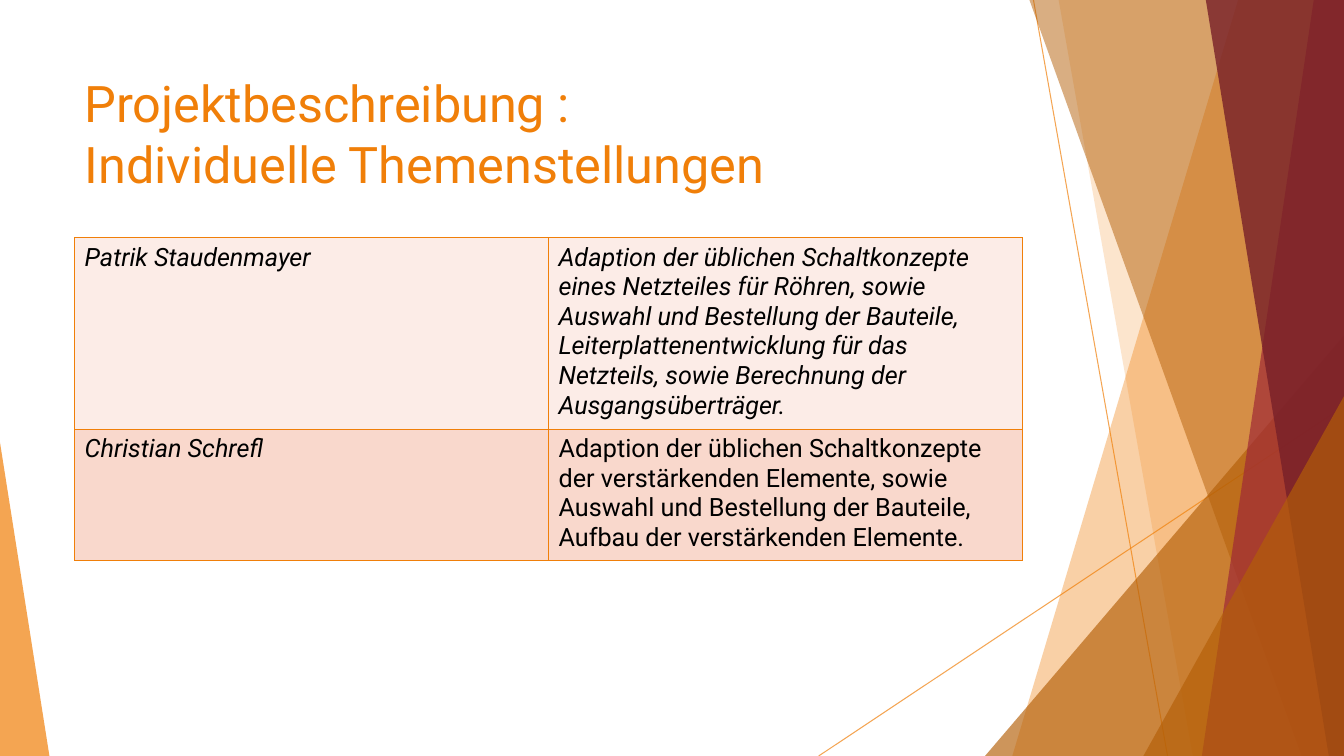
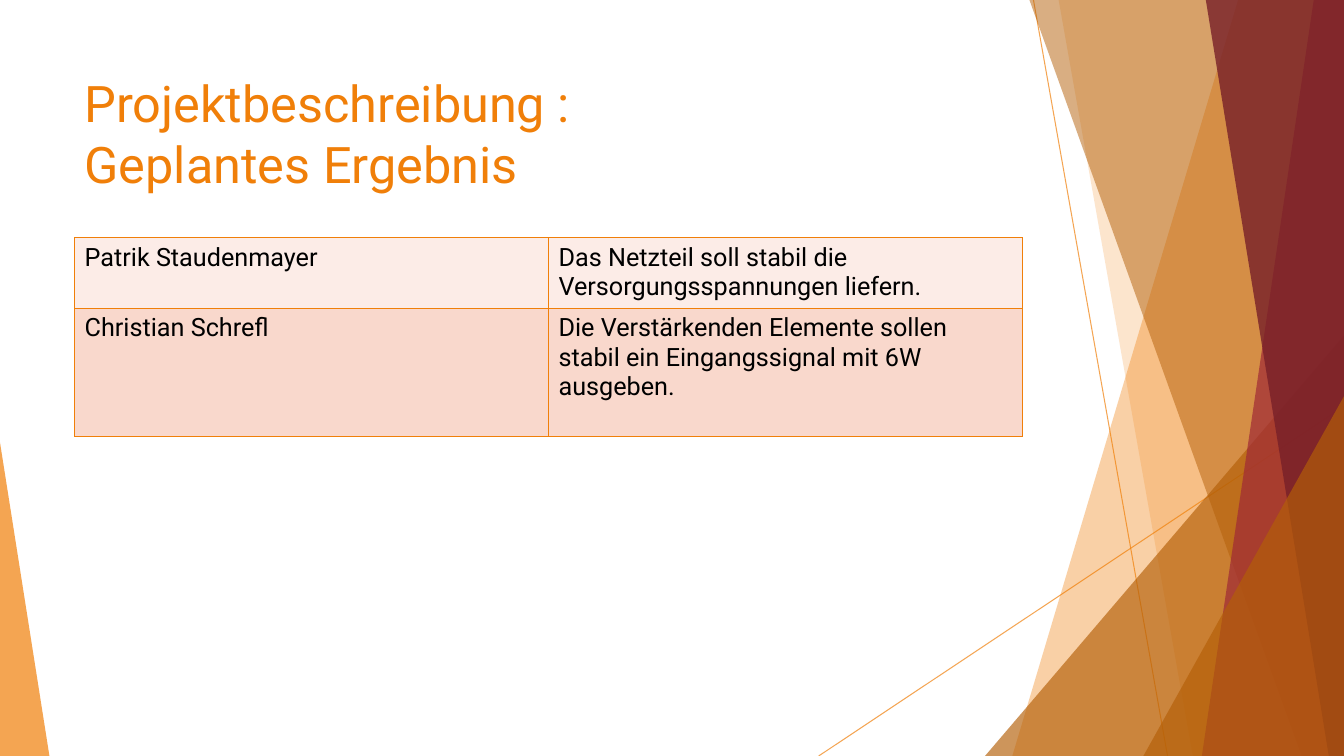
from lxml import etree
from pptx import Presentation
from pptx.dml.color import RGBColor
from pptx.enum.shapes import MSO_CONNECTOR, MSO_SHAPE
from pptx.enum.text import MSO_ANCHOR
from pptx.oxml.ns import qn
from pptx.util import Inches, Pt

STRAIGHT = MSO_CONNECTOR.STRAIGHT
TRIANGLE = MSO_SHAPE.ISOSCELES_TRIANGLE
TOP = MSO_ANCHOR.TOP

ORANGE = RGBColor(0xF0, 0x7F, 0x09)
BROWN = RGBColor(0xB4, 0x5F, 0x07)
RED = RGBColor(0x9F, 0x29, 0x36)
DARK_RED = RGBColor(0x77, 0x1F, 0x28)
BLACK = RGBColor(0x00, 0x00, 0x00)
ROW_FILLS = [RGBColor(0xFC, 0xEC, 0xE7), RGBColor(0xF9, 0xD8, 0xCC)]

FONT = "Roboto"
W, H = 13.33, 7.5
LEFT, CONTENT_W = 0.74, 9.4
TITLE_TOP, TITLE_H = 0.67, 1.44
TABLE_TOP = 2.36

SLIDES = [
    {
        "title": ["Projektbeschreibung :", "Individuelle Themenstellungen"],
        "heights": [1.86, 1.27],
        "rows": [
            [("Patrik Staudenmayer", True),
             ("Adaption der üblichen Schaltkonzepte eines Netzteiles für Röhren, "
              "sowie Auswahl und Bestellung der Bauteile, Leiterplattenentwicklung "
              "für das Netzteils, sowie Berechnung der Ausgangsüberträger.", True)],
            [("Christian Schrefl", True),
             ("Adaption der üblichen Schaltkonzepte der verstärkenden Elemente, "
              "sowie Auswahl und Bestellung der Bauteile, Aufbau der verstärkenden "
              "Elemente.", False)],
        ],
    },
    {
        "title": ["Projektbeschreibung :", "Geplantes Ergebnis"],
        "heights": [0.68, 1.27],
        "rows": [
            [("Patrik Staudenmayer", False),
             ("Das Netzteil soll stabil die Versorgungsspannungen liefern.", False)],
            [("Christian Schrefl", False),
             ("Die Verstärkenden Elemente sollen stabil ein Eingangssignal mit 6W "
              "ausgeben.", False)],
        ],
    },
]

LINES = [(10.25, 0, 11.58, H), (W, 4.03, 8.12, H)]


def add_band(slide, top_x, bottom_x):
    points = [(Inches(x), Inches(y))
              for x, y in [(top_x, 0), (W, 0), (W, H), (bottom_x, H)]]
    builder = slide.shapes.build_freeform(*points[0])
    builder.add_line_segments(points[1:])
    return builder.convert_to_shape()


def add_triangle(slide, left, top, right, apex):
    sp = slide.shapes.add_shape(TRIANGLE, Inches(left), Inches(top),
                                Inches(right - left), Inches(H - top))
    sp.adjustments[0] = apex
    return sp


FACETS = [
    (add_band, (12.28, 10.04), ORANGE, 36),
    (add_band, (10.5, 11.83), ORANGE, 20),
    (add_triangle, (9.77, 3.33, W, 1), BROWN, 66),
    (add_band, (10.21, 12.91), BROWN, 50),
    (add_band, (13.03, 11.92), RED, 70),
    (add_band, (11.96, 13.18), DARK_RED, 80),
    (add_triangle, (11.34, 3.93, W, 1), BROWN, 66),
    (add_triangle, (0, 4.39, 0.49, 0), ORANGE, 70),
]


def set_alpha(sp, percent):
    for color in sp.element.spPr.iter(qn("a:srgbClr")):
        etree.SubElement(color, qn("a:alpha"), val=str(percent * 1000))


def add_background(slide):
    for ends in LINES:
        line = slide.shapes.add_connector(STRAIGHT, *map(Inches, ends))
        line.line.color.rgb = ORANGE
        line.line.width = Pt(0.75)
        set_alpha(line, 70)
        etree.SubElement(line.element.spPr, qn("a:effectLst"))
    for add_facet, geometry, color, alpha in FACETS:
        sp = add_facet(slide, *geometry)
        sp.shadow.inherit = False
        sp.fill.solid()
        sp.fill.fore_color.rgb = color
        sp.line.fill.background()
        set_alpha(sp, alpha)


def style_font(p, size, color, italic=False):
    p.font.name = FONT
    p.font.size = Pt(size)
    p.font.color.rgb = color
    p.font.italic = italic


def add_title(slide, lines):
    box = slide.shapes.add_textbox(Inches(LEFT), Inches(TITLE_TOP),
                                   Inches(CONTENT_W), Inches(TITLE_H))
    tf = box.text_frame
    tf.word_wrap = True
    tf.vertical_anchor = TOP
    p = tf.paragraphs[0]
    style_font(p, 36, ORANGE)
    for i, text in enumerate(lines):
        if i:
            p.add_line_break()
        p.add_run().text = text


def add_borders(cell):
    tcPr = cell._tc.get_or_add_tcPr()
    for side in ("lnL", "lnR", "lnT", "lnB"):
        ln = etree.SubElement(tcPr, qn(f"a:{side}"), w=str(Pt(1)))
        fill = etree.SubElement(ln, qn("a:solidFill"))
        etree.SubElement(fill, qn("a:srgbClr"), val=str(ORANGE))


def add_topics(slide, rows, heights):
    table = slide.shapes.add_table(len(rows), len(rows[0]), Inches(LEFT),
                                   Inches(TABLE_TOP), Inches(CONTENT_W),
                                   Inches(sum(heights))).table
    table.first_row = False
    table.horz_banding = False
    for i, row in enumerate(rows):
        table.rows[i].height = Inches(heights[i])
        for j, (text, italic) in enumerate(row):
            cell = table.cell(i, j)
            add_borders(cell)
            cell.fill.solid()
            cell.fill.fore_color.rgb = ROW_FILLS[i]
            cell.text = text
            style_font(cell.text_frame.paragraphs[0], 18, BLACK, italic)


def main():
    prs = Presentation()
    prs.slide_width, prs.slide_height = Inches(W), Inches(H)
    for content in SLIDES:
        slide = prs.slides.add_slide(prs.slide_layouts[6])
        add_background(slide)
        add_title(slide, content["title"])
        add_topics(slide, content["rows"], content["heights"])
    prs.save("out.pptx")


if __name__ == "__main__":
    main()
